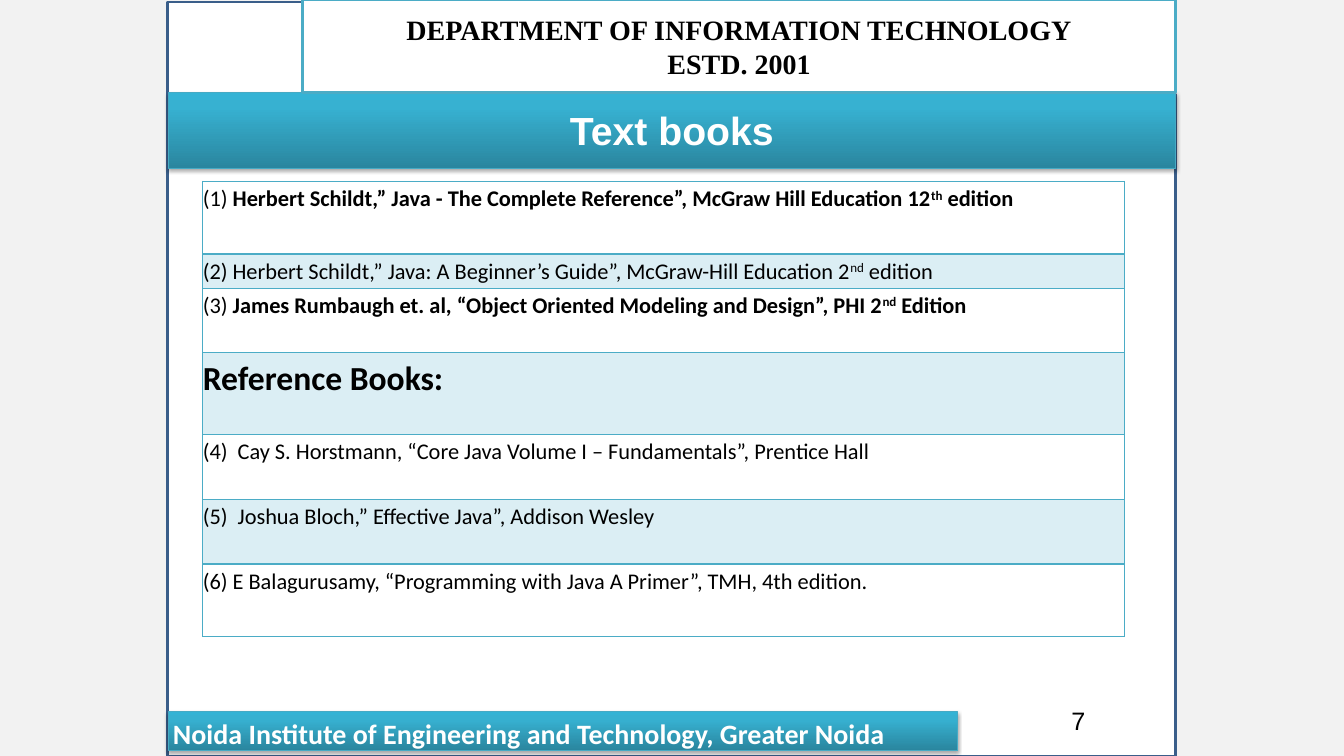
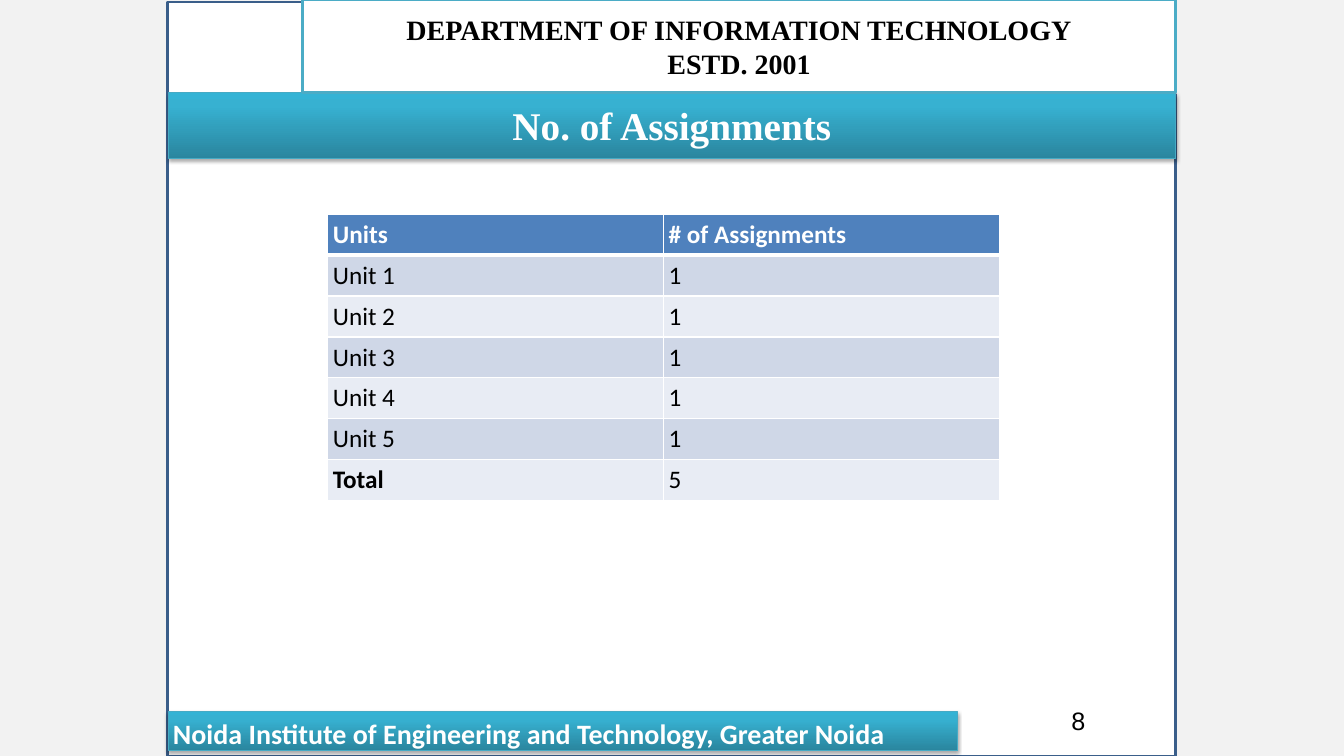
from dataclasses import dataclass

from lxml.etree import SubElement
from pptx import Presentation
from pptx.dml.color import RGBColor
from pptx.enum.shapes import MSO_SHAPE
from pptx.enum.text import MSO_ANCHOR, PP_ALIGN
from pptx.oxml import parse_xml
from pptx.oxml.ns import nsdecls, qn
from pptx.util import Cm, Pt

COLORS = {
    "page": "F2F2F2", "white": "FFFFFF", "black": "000000",
    "frame": "3A5E8A", "teal": "4BACC6", "band_line": "46AAC4", "tint": "DBEEF4",
    "head": "4F81BD", "odd": "CFD7E7", "even": "E8ECF4",
}
BAND_STOPS = ((0, "2A869F"), (80, "37B1D1"), (100, "34B3D5"))
INSET = 0.13
PANEL_LEFT, PANEL_WIDTH = 4.23, 25.4
HEADER_LEFT, HEADER_HEIGHT = 7.62, 2.33

HEADER_FONT = {"name": "Times New Roman", "size": Pt(20), "bold": True, "color": "black"}
FOOTER_FONT = {"name": "Calibri", "size": Pt(20), "bold": True, "color": "white"}
NUMBER_FONT = {"name": "Arial", "size": Pt(18), "color": "black"}
BOOK_FONT = {"name": "Calibri", "size": Pt(16), "bold": False, "color": "black"}
UNIT_FONT = {"name": "Calibri", "size": Pt(18), "bold": False, "color": "black"}


@dataclass(frozen=True)
class Box:
    left: float
    top: float
    width: float
    height: float

    def lengths(self) -> tuple:
        return Cm(self.left), Cm(self.top), Cm(self.width), Cm(self.height)


@dataclass(frozen=True)
class Run:
    text: str
    bold: bool = False
    raised: bool = False


@dataclass(frozen=True)
class BookRow:
    height: float
    runs: tuple
    size: int = 16


@dataclass(frozen=True)
class Page:
    title: str
    title_font: str
    band_height: float
    number: str


LOGO = Box(PANEL_LEFT, 0.05, HEADER_LEFT - PANEL_LEFT, HEADER_HEIGHT)
PANEL = Box(PANEL_LEFT, 2.37, PANEL_WIDTH, 16.68)
HEADER = Box(HEADER_LEFT, 0, PANEL_LEFT + PANEL_WIDTH - HEADER_LEFT, HEADER_HEIGHT)
FOOTER = Box(PANEL_LEFT, 17.93, 19.89, 0.97)
NUMBER = Box(26.87, 17.65, 0.61, 0.91)

BOOKS = (
    BookRow(1.83, (
        Run("(1) "),
        Run("Herbert Schildt,” Java - The Complete Reference”, McGraw Hill Education 12", True),
        Run("th", True, True), Run(" edition", True))),
    BookRow(0.86, (
        Run("(2) Herbert Schildt,” Java: A Beginner’s Guide”, McGraw-Hill Education 2"),
        Run("nd", raised=True), Run(" edition"))),
    BookRow(1.63, (
        Run("(3) "),
        Run("James Rumbaugh et. al, “Object Oriented Modeling and Design”, PHI 2", True),
        Run("nd", True, True), Run(" Edition", True))),
    BookRow(2.06, (Run("Reference Books:", True),), 24),
    BookRow(1.63, (
        Run("(4)  Cay S. Horstmann, “Core Java Volume I – Fundamentals”, Prentice Hall"),)),
    BookRow(1.63, (Run("(5)  Joshua Bloch,” Effective Java”, Addison Wesley"),)),
    BookRow(1.83, (
        Run("(6) E Balagurusamy, “Programming with Java A Primer”, TMH, 4th edition."),)),
)
ASSIGNMENTS = (
    ("Units", "# of Assignments"),
    *((f"Unit {n}", "1") for n in range(1, 6)),
    ("Total", "5"),
)


def rgb(name: str) -> RGBColor:
    return RGBColor.from_string(COLORS[name])


def add_run(p, text: str, fmt: dict):
    r = p.add_run()
    r.text = text
    for key, value in fmt.items():
        if key == "color":
            r.font.color.rgb = rgb(value)
        else:
            setattr(r.font, key, value)
    return r


def set_insets(target, inset: float) -> None:
    for side in ("left", "top", "right", "bottom"):
        setattr(target, f"margin_{side}", Cm(inset))


def write_lines(sp, lines: tuple, fmt: dict, align=PP_ALIGN.LEFT,
                anchor=MSO_ANCHOR.TOP, wrap: bool = True) -> None:
    tf = sp.text_frame
    tf.word_wrap = wrap
    tf.vertical_anchor = anchor
    set_insets(tf, INSET)
    for i, line in enumerate(lines):
        p = tf.add_paragraph() if i else tf.paragraphs[0]
        p.alignment = align
        add_run(p, line, fmt)


def add_rect(s, box: Box, line: str, width: float = 2):
    sp = s.shapes.add_shape(MSO_SHAPE.RECTANGLE, *box.lengths())
    sp.shadow.inherit = False
    sp.fill.solid()
    sp.fill.fore_color.rgb = rgb("white")
    sp.line.color.rgb = rgb(line)
    sp.line.width = Pt(width)
    return sp


def add_band(s, box: Box):
    """Add a rectangle with the teal gradient and a soft shadow below."""
    sp = add_rect(s, box, "band_line", 0.25)
    sp_pr = sp.element.spPr
    stops = "".join(
        f'<a:gs pos="{pos * 1000}"><a:srgbClr val="{color}"/></a:gs>'
        for pos, color in BAND_STOPS)
    gradient = parse_xml(
        f'<a:gradFill {nsdecls("a")} rotWithShape="1"><a:gsLst>{stops}</a:gsLst>'
        '<a:lin ang="16200000" scaled="0"/></a:gradFill>')
    sp_pr.replace(sp_pr.find(qn("a:solidFill")), gradient)
    sp_pr.find(qn("a:effectLst")).append(parse_xml(
        f'<a:outerShdw {nsdecls("a")} blurRad="{Pt(3)}" dist="{Pt(1.5)}" dir="5400000" '
        'rotWithShape="0"><a:srgbClr val="000000"><a:alpha val="35000"/></a:srgbClr>'
        '</a:outerShdw>'))
    return sp


def add_page(prs, page: Page):
    s = prs.slides.add_slide(prs.slide_layouts[6])
    s.background.fill.solid()
    s.background.fill.fore_color.rgb = rgb("page")
    centred = {"align": PP_ALIGN.CENTER, "anchor": MSO_ANCHOR.MIDDLE}

    for box in (LOGO, PANEL):
        add_rect(s, box, "frame")
    title = add_band(s, Box(PANEL_LEFT, HEADER_HEIGHT, PANEL_WIDTH, page.band_height))
    title_fmt = {"name": page.title_font, "size": Pt(28), "bold": True, "color": "white"}
    write_lines(title, (page.title,), title_fmt, **centred)
    header = add_rect(s, HEADER, "teal")
    write_lines(header, ("DEPARTMENT OF INFORMATION TECHNOLOGY", "ESTD. 2001"),
                HEADER_FONT, **centred)
    footer = add_band(s, FOOTER)
    write_lines(footer, ("Noida Institute of Engineering and Technology, Greater Noida",),
                FOOTER_FONT)
    number = s.shapes.add_textbox(*NUMBER.lengths())
    write_lines(number, (page.number,), NUMBER_FONT, wrap=False)
    return s


def add_grid(s, left: float, top: float, widths: tuple, heights: tuple):
    """Add a table without style bands, with the given columns and rows."""
    box = Box(left, top, sum(widths), sum(heights))
    tbl = s.shapes.add_table(len(heights), len(widths), *box.lengths()).table
    tbl.first_row = tbl.horz_banding = False
    for col, width in zip(tbl.columns, widths):
        col.width = Cm(width)
    for row, height in zip(tbl.rows, heights):
        row.height = Cm(height)
    return tbl


def style_cell(cell, fill: str, border: str, inset: float,
               top: float = 1, bottom: float = 1) -> None:
    set_insets(cell, inset)
    tc_pr = cell._tc.get_or_add_tcPr()
    for side, width in (("L", 1), ("R", 1), ("T", top), ("B", bottom)):
        ln = SubElement(tc_pr, qn(f"a:ln{side}"), w=str(Pt(width)))
        solid = SubElement(ln, qn("a:solidFill"))
        SubElement(solid, qn("a:srgbClr"), val=COLORS[border])
    cell.fill.solid()
    cell.fill.fore_color.rgb = rgb(fill)


def add_books(s) -> None:
    tbl = add_grid(s, 5.11, 4.57, (23.22,), tuple(b.height for b in BOOKS))
    for i, book in enumerate(BOOKS):
        cell = tbl.cell(i, 0)
        style_cell(cell, "tint" if i % 2 else "white", "teal", 0,
                   top=2 if i == 1 else 1, bottom=2 if i == 0 else 1)
        p = cell.text_frame.paragraphs[0]
        p.alignment = PP_ALIGN.JUSTIFY
        p.line_spacing = 1.15
        for run in book.runs:
            r = add_run(p, run.text, BOOK_FONT | {"size": Pt(book.size), "bold": run.bold})
            if run.raised:
                r._r.get_or_add_rPr().set("baseline", "30000")


def add_assignments(s) -> None:
    tbl = add_grid(s, 8.26, 5.4, (8.46, 8.46), (1.03,) * len(ASSIGNMENTS))
    for i, values in enumerate(ASSIGNMENTS):
        is_head = i == 0
        fill = "head" if is_head else ("odd" if i % 2 else "even")
        for j, value in enumerate(values):
            cell = tbl.cell(i, j)
            style_cell(cell, fill, "white", INSET,
                       top=3 if i == 1 else 1, bottom=3 if is_head else 1)
            fmt = UNIT_FONT | {"bold": is_head or value == "Total",
                               "color": "white" if is_head else "black"}
            add_run(cell.text_frame.paragraphs[0], value, fmt)


def main() -> None:
    prs = Presentation()
    prs.slide_width, prs.slide_height = Cm(33.87), Cm(19.05)
    add_books(add_page(prs, Page("Text books", "Arial", 1.9, "7")))
    add_assignments(add_page(prs, Page("No. of Assignments", "Times New Roman", 1.65, "8")))
    prs.save("out.pptx")


if __name__ == "__main__":
    main()
